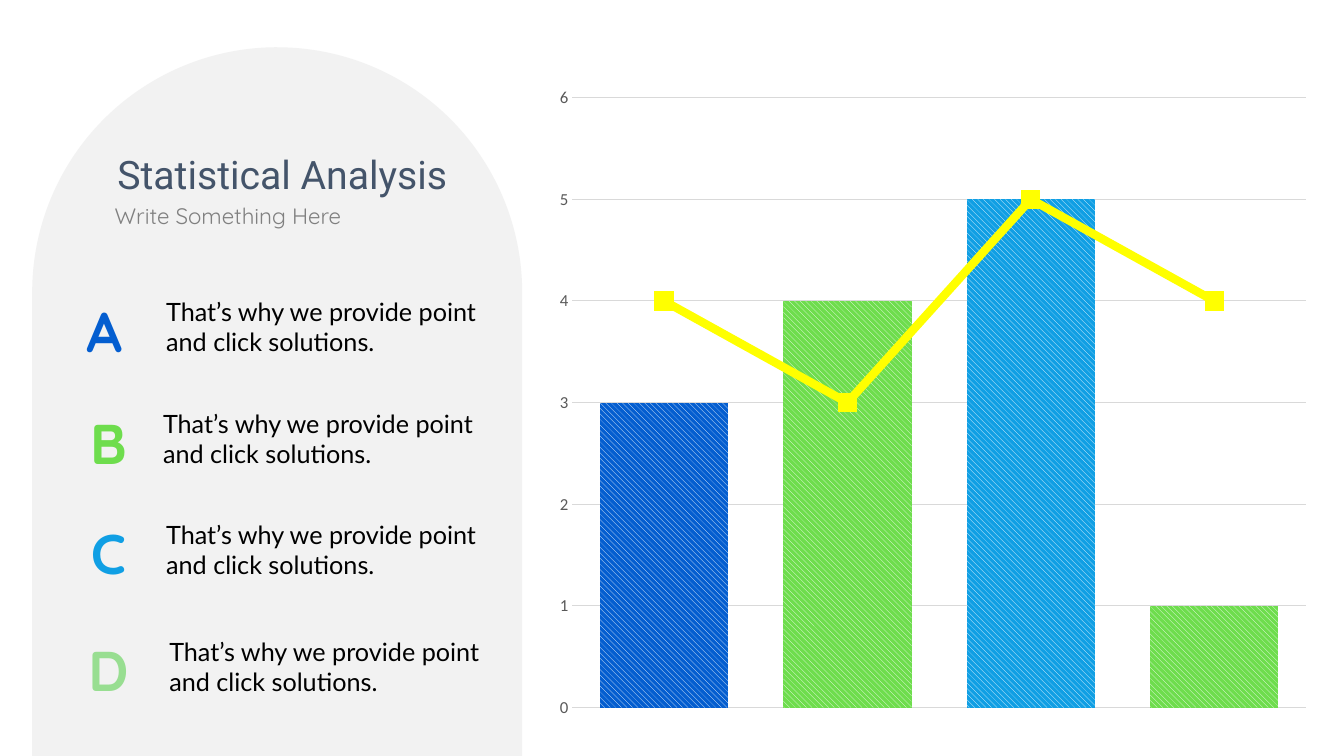
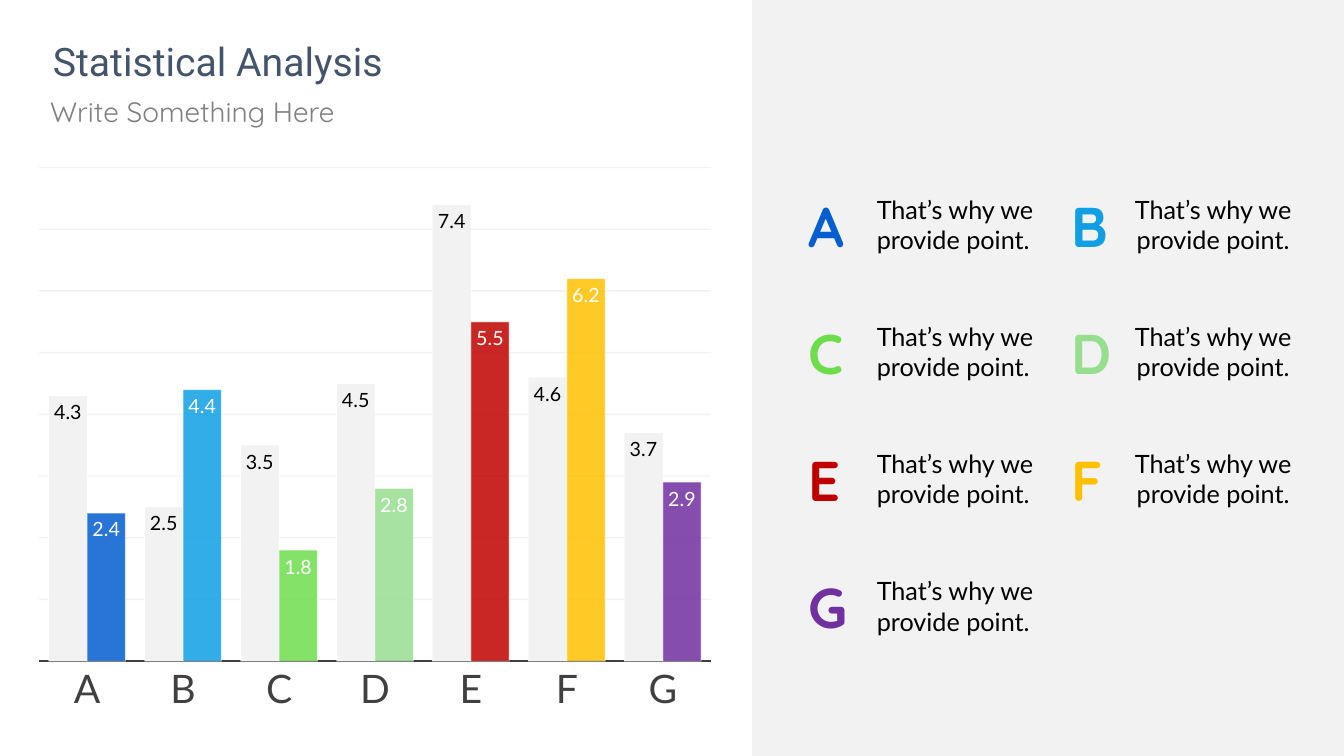
from lxml import etree
from pptx import Presentation
from pptx.chart.data import CategoryChartData
from pptx.dml.color import RGBColor
from pptx.enum.chart import XL_CHART_TYPE as ChartType, XL_LABEL_POSITION as LabelPos
from pptx.enum.chart import XL_MARKER_STYLE as Marker, XL_TICK_MARK as Tick
from pptx.enum.dml import MSO_PATTERN as Pattern
from pptx.enum.shapes import MSO_SHAPE as Shape
from pptx.enum.text import PP_ALIGN as Align
from pptx.oxml import parse_xml
from pptx.oxml.ns import nsdecls, qn
from pptx.util import Pt

COLORS = {
    "panel": "F2F2F2", "title": "44546A", "subtitle": "808080", "body": "000000",
    "white": "FFFFFF", "grid": "D9D9D9", "tick": "595959", "axis": "404040",
    "blue": "045ED0", "sky": "109FE4", "green": "6EDD4D", "mint": "98DE91",
    "red": "C00000", "amber": "FFC000", "purple": "7030A0", "trend": "FFFF00",
}
TITLE_FONT, ACCENT_FONT, BODY_FONT = "Roboto", "Quicksand", "Lato"
SLIDE_W, SLIDE_H = 960, 540


def rgb(name):
    return RGBColor.from_string(COLORS[name])


def style_font(font, face, size, color, bold=False):
    font.name, font.size, font.bold = face, Pt(size), bold
    font.color.rgb = rgb(color)


def add_text(slide, box, words, face, size, color, align=Align.LEFT, bold=False):
    frame = slide.shapes.add_textbox(*map(Pt, box)).text_frame
    frame.word_wrap = True
    paragraph = frame.paragraphs[0]
    paragraph.alignment = align
    run = paragraph.add_run()
    run.text = words
    style_font(run.font, face, size, color, bold)


def add_panel(slide, kind, box):
    panel = slide.shapes.add_shape(kind, *map(Pt, box))
    panel.shadow.inherit = False
    panel.fill.solid()
    panel.fill.fore_color.rgb = rgb("panel")
    panel.line.fill.background()
    return panel


def add_heading(slide, left, top, subtitle_drop, subtitle_size):
    add_text(slide, (left, top, 253.4, 41), "Statistical Analysis",
             TITLE_FONT, 28, "title", Align.CENTER)
    add_text(slide, (left, top + subtitle_drop, 288, 30), "Write Something Here",
             ACCENT_FONT, subtitle_size, "subtitle")


def add_letter(slide, left, top, width, letter, color, align=Align.LEFT):
    add_text(slide, (left, top, width, 55.4), letter, ACCENT_FONT, 40, color, align, True)


def add_note(slide, left, top, width, words, align=Align.LEFT):
    add_text(slide, (left, top, width, 51), words, BODY_FONT, 18, "body", align)


def style_line(line, color, width):
    line.color.rgb = rgb(color)
    line.width = Pt(width)


def fade(chart, query, percent):
    """Make the colours found by the query partly transparent."""
    for color in chart.element.xpath(query):
        etree.SubElement(color, qn("a:alpha")).set("val", str(percent * 1000))


def add_columns(slide, box, categories, rows, face, size, gap, overlap, top_value, grid):
    data = CategoryChartData()
    data.categories = categories
    for number, values in enumerate(rows, 1):
        data.add_series(f"Series {number}", values)
    chart = slide.shapes.add_chart(ChartType.COLUMN_CLUSTERED, *map(Pt, box), data).chart
    chart.has_legend = chart.has_title = False
    style_font(chart.font, face, size, "body")
    plot = chart.plots[0]
    plot.vary_by_categories = False
    plot.gap_width, plot.overlap = gap, overlap
    scale = chart.value_axis
    scale.minimum_scale, scale.maximum_scale, scale.major_unit = 0, top_value, 1
    style_line(scale.major_gridlines.format.line, *grid)
    for axis in (scale, chart.category_axis):
        axis.major_tick_mark = axis.minor_tick_mark = Tick.NONE
    return chart


def move_last_to_line(chart):
    """Turn the last column series into a line on the same axes."""
    bars = chart.element.xpath(".//c:barChart")[0]
    lines = parse_xml(f'<c:lineChart {nsdecls("c")}><c:grouping val="standard"/>'
                      '<c:varyColors val="0"/><c:marker val="1"/></c:lineChart>')
    trend = bars.findall(qn("c:ser"))[-1]
    for flag in trend.findall(qn("c:invertIfNegative")):
        trend.remove(flag)
    lines.insert(2, trend)
    for axis_id in bars.findall(qn("c:axId")):
        etree.SubElement(lines, qn("c:axId")).set("val", axis_id.get("val"))
    bars.addnext(lines)
    return chart.plots[1].series[0]


def add_trend_chart(slide, box):
    chart = add_columns(slide, box, ["1", "2", "3", "4"],
                        [(3, 4, 5, 1), (None,) * 4, (4, 3, 5, 4)],
                        "Calibri", 10, 43, 100, 6, ("grid", 0.75))
    chart.category_axis.visible = False
    style_font(chart.value_axis.tick_labels.font, "Calibri", 12, "tick")
    chart.value_axis.format.line.fill.background()

    # Hatched columns
    columns = chart.plots[0].series[0]
    for index, color in enumerate(("blue", "green", "sky", "green")):
        fill = columns.points[index].format.fill
        fill.patterned()
        fill.pattern = Pattern.WIDE_DOWNWARD_DIAGONAL
        fill.fore_color.rgb, fill.back_color.rgb = rgb("white"), rgb(color)

    # Trend line
    trend = move_last_to_line(chart)
    trend.smooth = False
    style_line(trend.format.line, "trend", 6)
    trend.marker.style, trend.marker.size = Marker.SQUARE, 13
    trend.marker.format.fill.solid()
    trend.marker.format.fill.fore_color.rgb = rgb("trend")
    trend.marker.format.line.fill.background()


def add_pair_chart(slide, box, legend):
    chart = add_columns(slide, box, [letter for letter, _ in legend],
                        [(4.3, 2.5, 3.5, 4.5, 7.4, 4.6, 3.7),
                         (2.4, 4.4, 1.8, 2.8, 5.5, 6.2, 2.9)],
                        BODY_FONT, 28, 50, 0, 8, ("subtitle", 1))
    chart.value_axis.visible = False
    style_font(chart.category_axis.tick_labels.font, BODY_FONT, 28, "axis")
    style_line(chart.category_axis.format.line, "axis", 1.5)

    # Grey and coloured columns with their values
    base, accent = chart.plots[0].series
    painted = [(base, "panel")]
    painted += [(accent.points[i], color) for i, (_, color) in enumerate(legend)]
    for part, color in painted:
        part.format.fill.solid()
        part.format.fill.fore_color.rgb = rgb(color)
        style_line(part.format.line, "white", 0.75)
    for series, color in ((base, "body"), (accent, "white")):
        labels = series.data_labels
        labels.show_value, labels.position = True, LabelPos.INSIDE_END
        style_font(labels.font, BODY_FONT, 14, color)

    fade(chart, ".//c:dPt/c:spPr/a:solidFill/a:srgbClr", 85)
    fade(chart, ".//c:ser//a:ln//a:srgbClr", 50)
    fade(chart, ".//c:majorGridlines//a:srgbClr", 10)


def add_arch(slide, box):
    left, top = box[:2]
    arch = add_panel(slide, Shape.ROUND_2_SAME_RECTANGLE, box)
    arch.adjustments[0], arch.adjustments[1] = 0.5, 0
    add_heading(slide, left + 51.9, top + 69.9, 37.4, 16)
    # Letter, colour, row top, letter left, note left
    items = (("A", "blue", 174.3, 19.5, 88.6), ("B", "green", 254.2, 22.4, 86.4),
             ("C", "sky", 333.4, 22.4, 88.6), ("D", "mint", 416.9, 22.4, 90.8))
    for letter, color, drop, letter_left, note_left in items:
        add_letter(slide, left + letter_left, top + drop, 64, letter, color, Align.CENTER)
        add_note(slide, left + note_left, top + drop, 236.2,
                 "That’s why we provide point and click solutions.")


def add_legend_panel(slide, box, legend):
    left, top = box[:2]
    add_panel(slide, Shape.RECTANGLE, box)
    # Letter left, note left, note width, note alignment
    columns = ((33.1, 82.1, 132.5, Align.LEFT), (221, 257.1, 144.7, Align.CENTER))
    for index, (letter, color) in enumerate(legend):
        row, column = divmod(index, 2)
        letter_left, note_left, width, align = columns[column]
        row_top = top + 133.2 + row * 90.8
        add_letter(slide, left + letter_left, row_top, 50, letter, color)
        add_note(slide, left + note_left, row_top + 2, width,
                 "That’s why we provide point.", align)


def build_trend_slide(slide):
    add_arch(slide, (23, 33.8, 350, SLIDE_H - 33.8))
    add_trend_chart(slide, (388.8, 53.3, 555.1, 468.7))


def build_pair_slide(slide):
    legend = list(zip("ABCDEFG", ("blue", "sky", "green", "mint", "red", "amber", "purple")))
    add_legend_panel(slide, (537.1, 0, SLIDE_W - 537.1, SLIDE_H), legend)
    add_heading(slide, 28.8, 23, 41, 20)
    add_pair_chart(slide, (18, 111.6, 499.7, 405.4), legend)


def main():
    deck = Presentation()
    deck.slide_width, deck.slide_height = Pt(SLIDE_W), Pt(SLIDE_H)
    for build in (build_trend_slide, build_pair_slide):
        build(deck.slides.add_slide(deck.slide_layouts[6]))
    deck.save("out.pptx")


if __name__ == "__main__":
    main()
